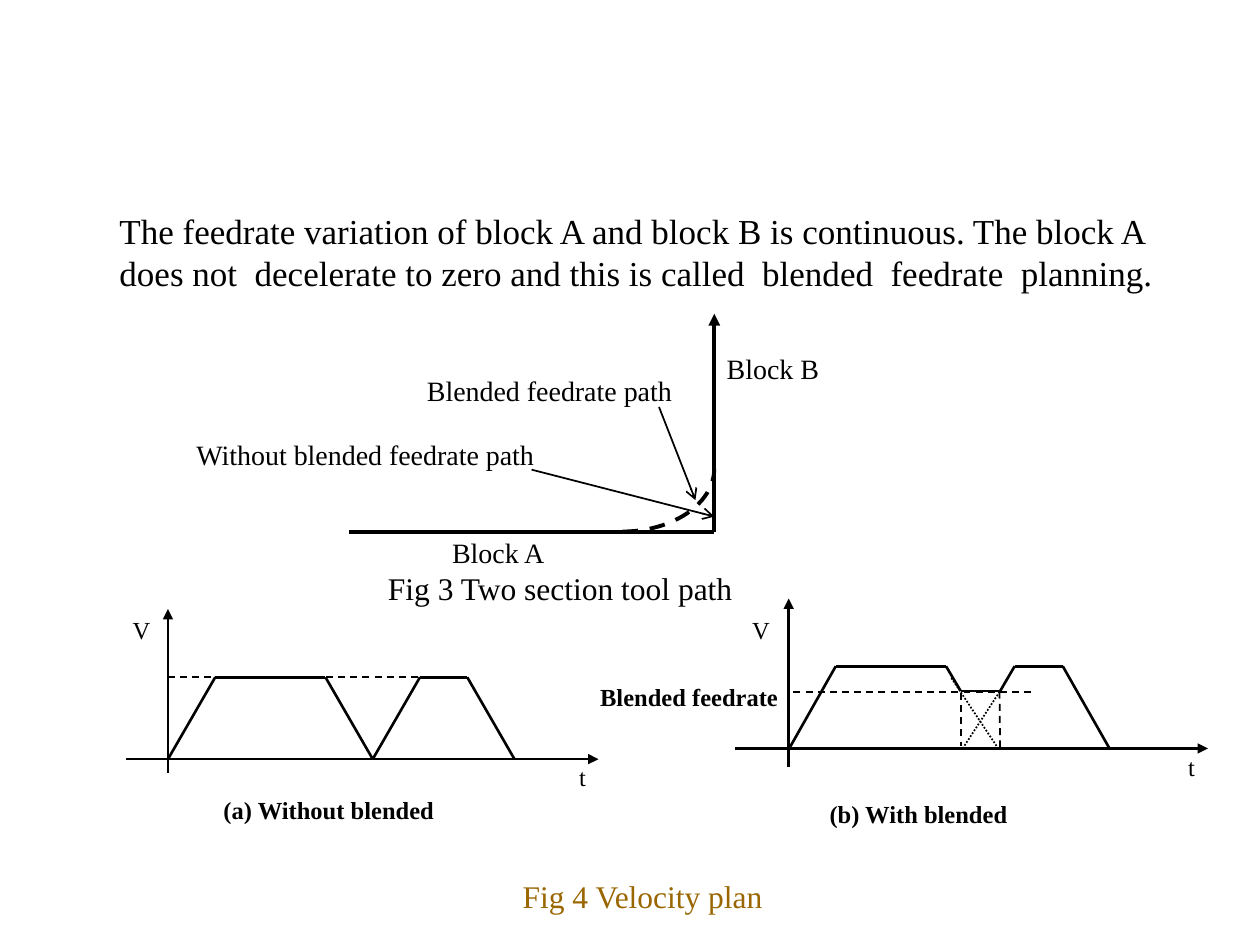
from itertools import pairwise
from math import cos, pi, sin

from lxml import etree
from pptx import Presentation
from pptx.dml.color import RGBColor
from pptx.enum.dml import MSO_LINE
from pptx.enum.shapes import MSO_CONNECTOR
from pptx.enum.text import PP_ALIGN
from pptx.oxml.ns import qn
from pptx.util import Pt

BLACK = RGBColor(0, 0, 0)
BROWN = RGBColor(0x99, 0x66, 0x00)
FONT = "Times New Roman"
LEFT, MID, JUST = PP_ALIGN.LEFT, PP_ALIGN.CENTER, PP_ALIGN.JUSTIFY
DASH, DOT = MSO_LINE.DASH, MSO_LINE.ROUND_DOT
STRAIGHT = MSO_CONNECTOR.STRAIGHT


def set_line(line, width, dash=None):
    line.color.rgb = BLACK
    line.width = Pt(width)
    if dash is not None:
        line.dash_style = dash


def add_line(shapes, start, end, width=1.5, dash=None, head=None):
    """Draw a straight line; head names the arrowhead at its end."""
    line = shapes.add_connector(STRAIGHT, *map(Pt, start + end))
    set_line(line.line, width, dash)
    props = line.element.spPr
    if head:
        tail = etree.SubElement(props.find(qn("a:ln")), qn("a:tailEnd"))
        tail.set("type", head)
    etree.SubElement(props, qn("a:effectLst"))


def add_chain(shapes, points):
    for start, end in pairwise(points):
        add_line(shapes, start, end)


def add_curve(shapes, left, top, wide, high, steps=24):
    """Draw a dashed quarter ellipse from bottom left to top right."""
    turns = [pi / 2 * i / steps for i in range(steps + 1)]
    points = [(Pt(left + wide * sin(t)), Pt(top + high * cos(t)))
              for t in turns]
    pen = shapes.build_freeform(*points[0])
    pen.add_line_segments(points[1:], close=False)
    curve = pen.convert_to_shape()
    curve.shadow.inherit = False
    curve.fill.background()
    set_line(curve.line, 2.25, DASH)


def add_text(shapes, text, box, size=14, align=MID, bold=False, color=BLACK):
    frame = shapes.add_textbox(*map(Pt, box)).text_frame
    frame.word_wrap = True
    para = frame.paragraphs[0]
    para.alignment = align
    run = para.add_run()
    run.text = text
    font = run.font
    font.name, font.size, font.bold = FONT, Pt(size), bold
    font.color.rgb = color


def draw_tool(shapes):
    corner = (408.2, 303.8)
    add_line(shapes, (199.4, 303.8), corner, 2.25)
    add_line(shapes, corner, (408.2, 179.3), 2.25, head="triangle")
    add_curve(shapes, 355.7, 267.8, 52.5, 36)
    for text, box, align in (
        ("Block A", (251.3, 302.4, 93.6, 26.6), JUST),
        ("Block B", (408.2, 197.3, 80.6, 26.6), JUST),
        ("Without blended feedrate path", (92.9, 246.2, 231.8, 35.3), MID),
        ("Blended feedrate path", (236.9, 210.2, 174.2, 26.6), JUST),
    ):
        add_text(shapes, text, box, 16, align)
    add_line(shapes, (376.6, 232.6), (397.4, 285.8), 1, head="arrow")
    add_line(shapes, (303.8, 268.4), (408.2, 295.2), 1, head="arrow")


def draw_axes(shapes, left, right, base, x, low, high):
    add_line(shapes, (left, base), (right, base), head="triangle")
    add_line(shapes, (x, low), (x, high), head="triangle")


def draw_plain(shapes):
    base, top = 433.8, 387
    draw_axes(shapes, 72, 342, base, 96, 441.5, 348)
    add_chain(shapes, [(96, base), (123, top), (186, top), (213, base),
                       (240, top), (267, top), (294, base)])
    add_line(shapes, (96, top), (258, top), 1, DASH)


def draw_blend(shapes):
    base, top, dip = 427.7, 380.7, 394.9
    draw_axes(shapes, 420, 690.3, base, 450.7, 438.5, 342)
    add_chain(shapes, [(451, base), (477.6, top), (540.6, top), (549, dip),
                       (571.5, dip), (579.8, top), (607.3, top),
                       (634, base)])
    for start, end, dash in (
        ((589.3, 395.3), (450.7, 395.3), DASH),
        ((549.2, 396), (549.2, 426.3), DASH),
        ((571.5, 427), (571.2, 396), DASH),
        ((543.6, 387.4), (570.4, base), DOT),
        ((550.1, base), (573.1, 392.4), DOT),
    ):
        add_line(shapes, start, end, 1, dash)


def main():
    deck = Presentation()
    deck.slide_width, deck.slide_height = Pt(720), Pt(540)
    shapes = deck.slides.add_slide(deck.slide_layouts[6]).shapes

    add_text(shapes, "The feedrate variation of block A and block B is "
             "continuous. The block A does not  decelerate to zero and this "
             "is called  blended  feedrate  planning.",
             (61.2, 115.9, 640.8, 55.4), 20, LEFT)
    draw_tool(shapes.add_group_shape().shapes)
    draw_plain(shapes.add_group_shape().shapes)
    draw_blend(shapes)

    for text, x, y in (("V", 60, 348), ("V", 414, 348),
                       ("t", 312, 432), ("t", 660, 426)):
        add_text(shapes, text, (x, y, 41.8, 24.5))
    for text, x, y, wide in (
        ("(a) Without blended", 92.9, 450.7, 190),
        ("(b) With blended", 463.7, 452.9, 122.4),
        ("Blended feedrate", 324.7, 386, 138.2),
    ):
        add_text(shapes, text, (x, y, wide, 24.5), bold=True)
    add_text(shapes, "Fig 3 Two section tool path",
             (214.6, 321.8, 236.2, 28.8), 18, LEFT)
    add_text(shapes, "Fig 4 Velocity plan",
             (291.6, 497.5, 187.2, 28.8), 18, LEFT, color=BROWN)
    deck.save("out.pptx")


if __name__ == "__main__":
    main()
